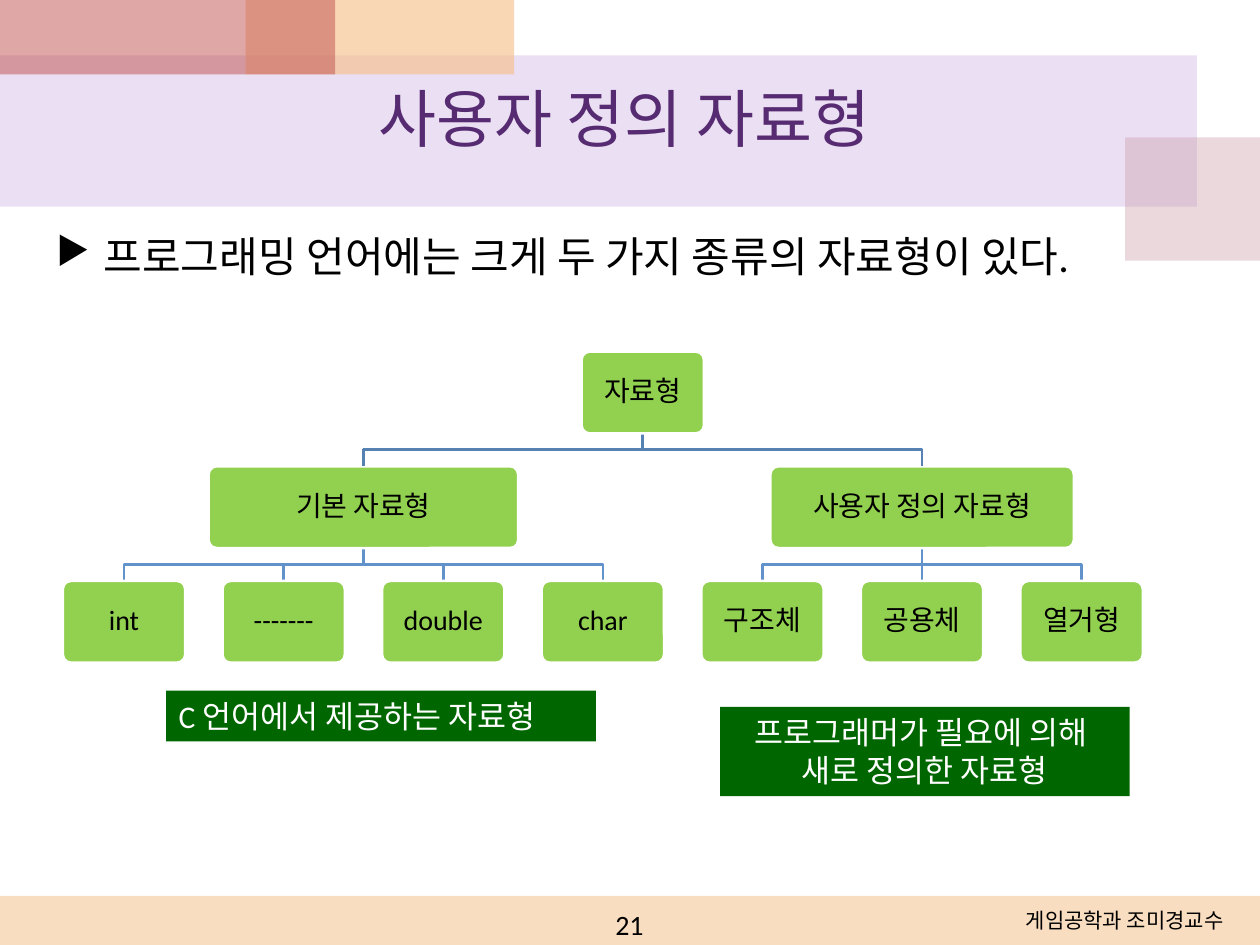
from lxml import etree
from pptx import Presentation
from pptx.dml.color import RGBColor
from pptx.enum.shapes import MSO_CONNECTOR, MSO_SHAPE
from pptx.enum.text import MSO_ANCHOR, PP_ALIGN
from pptx.oxml.ns import qn
from pptx.util import Pt

RECTANGLE, ROUNDED = MSO_SHAPE.RECTANGLE, MSO_SHAPE.ROUNDED_RECTANGLE
STRAIGHT = MSO_CONNECTOR.STRAIGHT
LEFT, CENTER, RIGHT = PP_ALIGN.LEFT, PP_ALIGN.CENTER, PP_ALIGN.RIGHT
TOP, MIDDLE = MSO_ANCHOR.TOP, MSO_ANCHOR.MIDDLE

FONT = "Calibri"
BLACK = RGBColor(0x00, 0x00, 0x00)
WHITE = RGBColor(0xFF, 0xFF, 0xFF)
PURPLE = RGBColor(0x56, 0x2B, 0x71)
LILAC = RGBColor(0xBF, 0x98, 0xD8)
ROSE = RGBColor(0xCC, 0x9E, 0xAC)
PEACH = RGBColor(0xF5, 0xBC, 0x83)
RED = RGBColor(0xC0, 0x50, 0x4D)
LIME = RGBColor(0x92, 0xD0, 0x50)
GREEN = RGBColor(0x00, 0x66, 0x00)
UPPER_LINK = RGBColor(0x56, 0x82, 0xB3)
LOWER_LINK = RGBColor(0x61, 0x93, 0xCA)

BANDS = [
    (0, 31.7, 684, 86.4, LILAC, 30),
    (643, 78.5, 77, 70.5, ROSE, 40),
    (140.4, 0, 153.4, 42.5, PEACH, 60),
    (0, 0, 191.5, 42.5, RED, 50),
    (0, 512, 720, 28, PEACH, 50),
]
ROOT = "자료형"
BRANCHES = [
    ("기본 자료형", 177, ["int", "-------", "double", "char"]),
    ("사용자 정의 자료형", 173.5, ["구조체", "공용체", "열거형"]),
]
TREE_TOP, LEVEL_STEP = 200.9, 65.5
NODE_WIDTH, NODE_HEIGHT = 70, 46.8
FIRST_LEAF, LEAF_STEP = 70.9, 91.2


def write(shape, text, size, color, align=CENTER, anchor=TOP):
    """Fill a shape's frame with formatted text."""
    frame = shape.text_frame
    frame.word_wrap = True
    frame.vertical_anchor = anchor
    frame.text = text
    for para in frame.paragraphs:
        para.alignment = align
        for span in para.runs:
            span.font.name, span.font.size = FONT, Pt(size)
            span.font.color.rgb = color
    return frame


def add_text(page, left, top, width, height, *style):
    """Add a text box and return its frame."""
    box = page.shapes.add_textbox(Pt(left), Pt(top), Pt(width), Pt(height))
    return write(box, *style)


def add_box(page, left, top, width, height, color, kind=RECTANGLE):
    """Add a filled shape without outline or shadow."""
    box = page.shapes.add_shape(kind, Pt(left), Pt(top), Pt(width), Pt(height))
    box.shadow.inherit = False
    box.fill.solid()
    box.fill.fore_color.rgb = color
    box.line.fill.background()
    return box


def add_band(page, left, top, width, height, color, opacity):
    """Add a translucent rectangle."""
    band = add_box(page, left, top, width, height, color)
    tint = band.fill._xPr.find(qn("a:solidFill"))[0]
    etree.SubElement(tint, qn("a:alpha")).set("val", str(opacity * 1000))


def add_node(page, text, center, level, width=NODE_WIDTH):
    """Add one labelled node of the type tree."""
    top = TREE_TOP + level * LEVEL_STEP
    node = add_box(page, center - width / 2, top, width, NODE_HEIGHT, LIME, ROUNDED)
    node.adjustments[0] = 0.1
    node.line.color.rgb, node.line.width = WHITE, Pt(1.5)
    frame = write(node, text, 16, BLACK, CENTER, MIDDLE)
    frame.margin_left = frame.margin_right = Pt(5)
    frame.paragraphs[0].line_spacing = 0.9


def add_link(page, parent, child, level, color):
    """Link a parent on the given level to a child below it."""
    bottom = TREE_TOP + (level + 1) * LEVEL_STEP
    top = TREE_TOP + level * LEVEL_STEP + NODE_HEIGHT
    if abs(parent - child) < 1:
        link = page.shapes.add_connector(STRAIGHT, Pt(parent), Pt(top), Pt(parent), Pt(bottom))
        etree.SubElement(link._element.spPr, qn("a:effectLst"))
    else:
        middle = (top + bottom) / 2
        outline = page.shapes.build_freeform(Pt(parent), Pt(top))
        corners = [(parent, middle), (child, middle), (child, bottom)]
        outline.add_line_segments([(Pt(x), Pt(y)) for x, y in corners], close=False)
        link = outline.convert_to_shape()
        link.fill.background()
        link.shadow.inherit = False
    link.line.color.rgb, link.line.width = color, Pt(1.5)


def add_tree(page):
    """Add the type tree, each parent centred over its children."""
    parents, column = [], 0
    for name, width, leaves in BRANCHES:
        centers = [FIRST_LEAF + LEAF_STEP * (column + i) for i in range(len(leaves))]
        column += len(leaves)
        parent = sum(centers) / len(centers)
        parents.append(parent)
        for leaf, center in zip(leaves, centers):
            add_link(page, parent, center, 1, LOWER_LINK)
            add_node(page, leaf, center, 2)
        add_node(page, name, parent, 1, width)
    root = sum(parents) / len(parents)
    for parent in parents:
        add_link(page, root, parent, 0, UPPER_LINK)
    add_node(page, ROOT, root, 0)


def add_bullet(para, mark, indent):
    """Give a paragraph a hanging bullet."""
    props = para._p.get_or_add_pPr()
    props.set("marL", str(Pt(indent)))
    props.set("indent", str(-Pt(indent)))
    etree.SubElement(props, qn("a:buSzPct")).set("val", "90000")
    etree.SubElement(props, qn("a:buChar")).set("char", mark)


def main():
    """Build and save the slide."""
    deck = Presentation()
    deck.slide_width, deck.slide_height = Pt(720), Pt(540)
    page = deck.slides.add_slide(deck.slide_layouts[6])
    for band in BANDS:
        add_band(page, *band)
    add_text(page, 36.7, 26.6, 648, 81.4, "사용자 정의 자료형 ", 36, PURPLE, CENTER, MIDDLE)
    body = add_text(page, 25.2, 128.2, 652.3, 363,
                    "프로그래밍 언어에는 크게 두 가지 종류의 자료형이 있다.", 24, BLACK, LEFT)
    body.paragraphs[0].space_before = Pt(4.8)
    add_bullet(body.paragraphs[0], "▶", 27)
    add_tree(page)
    basic = add_box(page, 95, 394.6, 245.5, 29, GREEN)
    write(basic, "C 언어에서 제공하는 자료형", 18, WHITE, LEFT)
    custom = add_box(page, 411.5, 404, 234, 51, GREEN)
    write(custom, "프로그래머가 필요에 의해 \n새로 정의한 자료형", 18, WHITE)
    add_text(page, 478, 514.8, 228.3, 19.4, "게임공학과 조미경교수", 12, BLACK, RIGHT)
    add_text(page, 275.8, 514.8, 167.8, 19.4, "21", 16, BLACK)
    deck.save("out.pptx")


if __name__ == "__main__":
    main()
